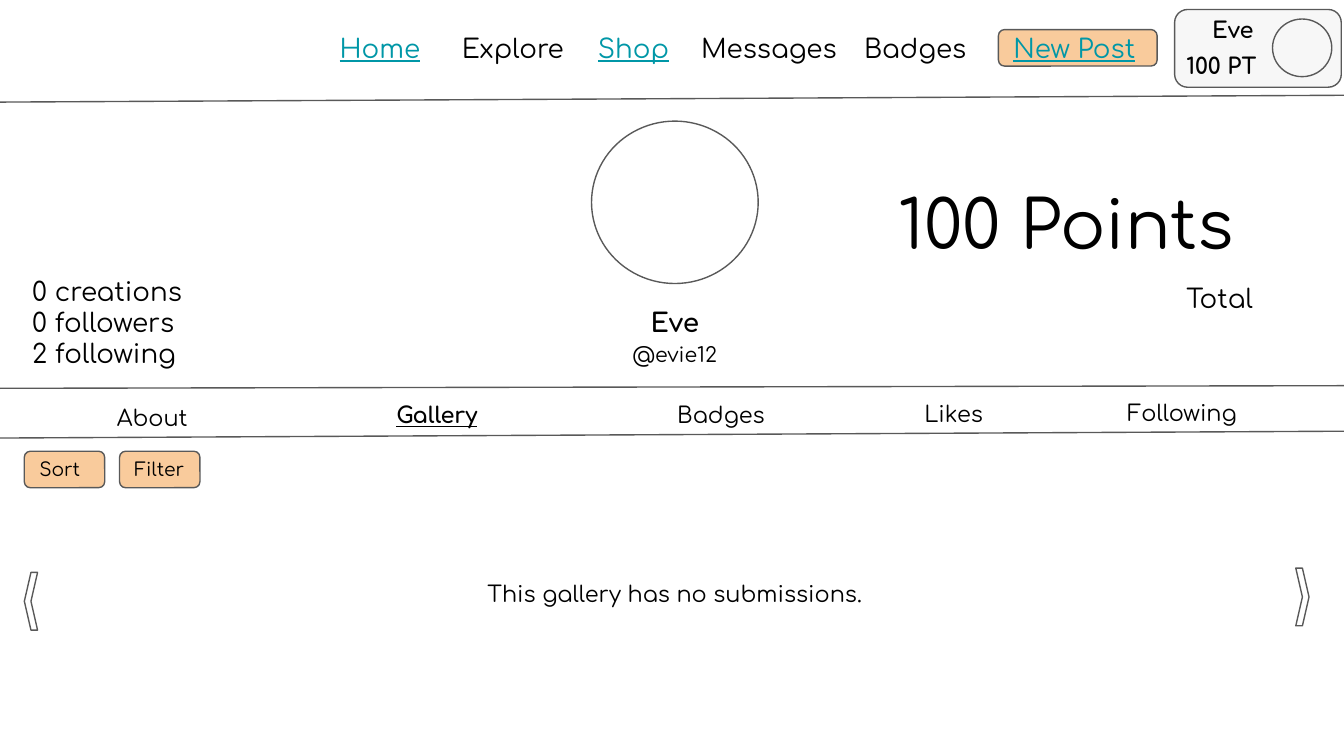
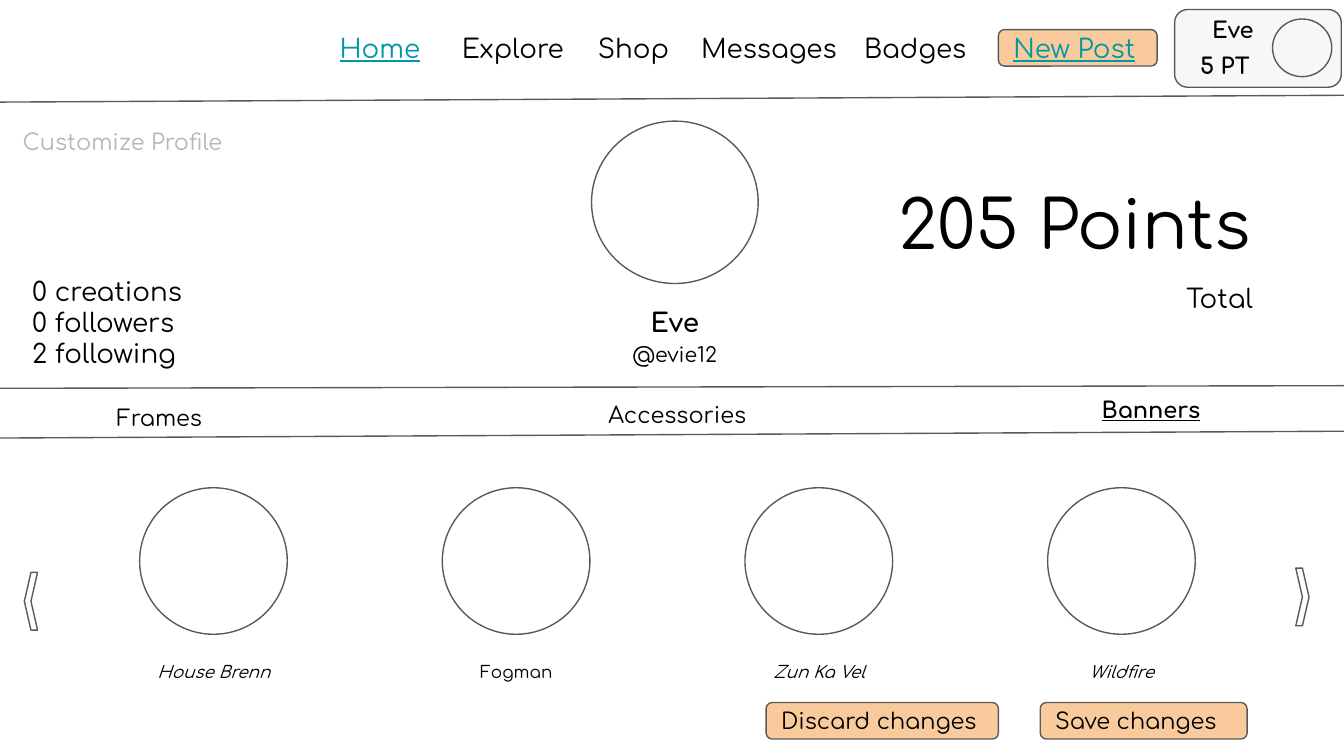
"""Builds two wireframe slides of a profile page: an empty gallery and a banner picker."""
from dataclasses import dataclass

from lxml import etree
from pptx import Presentation
from pptx.dml.color import RGBColor
from pptx.enum import shapes, text
from pptx.oxml.ns import qn
from pptx.util import Cm, Pt


@dataclass(frozen=True)
class Theme:
    font: str = "Comfortaa"
    ink: str = "000000"
    link: str = "0097A7"
    muted: str = "B7B7B7"
    outline: str = "595959"
    button: str = "F9CB9C"
    panel: str = "D5D5D5"
    hero: int = 36
    nav: int = 14
    body: int = 12
    handle: int = 11
    small: int = 10
    caption: int = 9


theme = Theme()
MSO = shapes.MSO_SHAPE
CENTER = text.PP_ALIGN.CENTER


def draw(s, kind, box, fill=None):
    sp = s.shapes.add_shape(kind, *map(Cm, box))
    sp.shadow.inherit = False
    sp.line.color.rgb = RGBColor.from_string(theme.outline)
    sp.line.width = Pt(0.75)
    if fill:
        sp.fill.solid()
        sp.fill.fore_color.rgb = RGBColor.from_string(fill)
    else:
        sp.fill.background()
    return sp


def write(s, words, box, size, color=theme.ink, align=text.PP_ALIGN.LEFT,
          spacing=None, button=False, indent=0, **style):
    if button:
        sp = draw(s, MSO.ROUNDED_RECTANGLE, box, theme.button)
    else:
        sp = s.shapes.add_textbox(*map(Cm, box))
    tf = sp.text_frame
    tf.word_wrap = True
    tf.vertical_anchor = text.MSO_ANCHOR.MIDDLE if button else text.MSO_ANCHOR.TOP
    tf.margin_right = tf.margin_top = tf.margin_bottom = Cm(0.25)
    tf.margin_left = Cm(0.25 + indent)
    tf.text = words
    for p in tf.paragraphs:
        p.alignment = align
        p.line_spacing = spacing
        p.font.name = theme.font
        p.font.size = Pt(size)
        p.font.color.rgb = RGBColor.from_string(color)
        for name, value in style.items():
            setattr(p.font, name, value)
    return tf


prs = Presentation()
prs.slide_width, prs.slide_height = Cm(25.4), Cm(14.29)

rules = [(1.93, 25.53, 1.8), (7.34, 25.4, 7.29), (8.28, 25.53, 8.15)]
nav = [("Home", 6.17, 2.24), ("Explore", 8.48, 2.49), ("Shop", 11.05, 1.91),
       ("Messages", 13, 3.15), ("Badges", 16.08, 2.49)]
pages = [
    dict(links=("Home", "Shop"), balance="100 PT", indent=0, total="100 Points",
         active="Gallery",
         tabs=[("About", 1.96, 7.39, 3), ("Gallery", 7.24, 7.34, 3),
               ("Badges", 12.55, 7.34, 3), ("Likes", 17.22, 7.32, 3),
               ("Following", 21.06, 7.29, 3)]),
    dict(links=("Home",), balance="5 PT", indent=0.26, total="205 Points",
         active="Banners",
         tabs=[("Frames", 1.96, 7.39, 3), ("Accessories", 11.25, 7.34, 3.4),
               ("Banners", 20.57, 7.24, 3)]),
]

for page in pages:
    s = prs.slides.add_slide(prs.slide_layouts[6])

    panel = draw(s, MSO.ROUNDED_RECTANGLE, (22.2, 0.18, 3.15, 1.47), theme.panel)
    tint = panel.fill._xPr.find(qn("a:solidFill"))[0]
    etree.SubElement(tint, qn("a:alpha"), val="19000")
    draw(s, MSO.OVAL, (24.05, 0.36, 1.12, 1.09))
    draw(s, MSO.OVAL, (11.18, 2.29, 3.15, 3.07))

    for y1, x2, y2 in rules:
        line = s.shapes.add_connector(shapes.MSO_CONNECTOR.STRAIGHT,
                                      Cm(-0.05), Cm(y1), Cm(x2), Cm(y2))
        line.line.color.rgb = RGBColor.from_string(theme.outline)
        line.line.width = Pt(0.75)
        etree.SubElement(line._element.spPr, qn("a:effectLst"))

    for word, x, w in nav:
        linked = word in page["links"]
        write(s, word, (x, 0.36, w, 0.69), theme.nav,
              theme.link if linked else theme.ink, underline=linked)
    write(s, "New Post", (18.87, 0.56, 3, 0.69), theme.nav, theme.link,
          button=True, underline=True)
    write(s, "Eve", (22.66, 0.05, 1.3, 0.69), theme.body, bold=True)
    write(s, page["balance"], (22.17, 0.74, 2.24, 0.51), theme.body,
          indent=page["indent"], bold=True)

    tf = write(s, "Eve\n@evie12", (11.51, 5.46, 2.49, 1.75), theme.nav,
               align=CENTER, spacing=1.15)
    tf.paragraphs[0].font.bold = True
    tf.paragraphs[1].font.size = Pt(theme.handle)
    write(s, page["total"], (16.74, 3.2, 8.05, 2.16), theme.hero)
    write(s, "Total", (22.17, 5.08, 1.91, 0.69), theme.nav)
    write(s, "0 creations\n0 followers\n2 following", (0.36, 4.95, 4.6, 1.98), theme.nav)

    for word, x, y, w in page["tabs"]:
        active = word == page["active"]
        write(s, word, (x, y, w, 0.69), theme.body, bold=active, underline=active)

    draw(s, MSO.CHEVRON, (0.46, 10.82, 0.25, 1.09)).rotation = 180
    draw(s, MSO.CHEVRON, (24.49, 10.74, 0.25, 1.09))

gallery, banners = prs.slides

for word, x in [("Sort", 0.46), ("Filter", 2.26)]:
    write(gallery, word, (x, 8.53, 1.52, 0.69), theme.small, button=True)
write(gallery, "This gallery has no submissions.", (7.32, 10.72, 10.87, 0.69),
      theme.body, align=CENTER)

write(banners, "Customize Profile", (0.18, 2.18, 6.43, 1.09), theme.body, theme.muted)
items = [("House Brenn", True), ("Fogman", False), ("Zun Ka Vel", True), ("Wildfire", True)]
for i, (word, italic) in enumerate(items):
    x = 2.64 + 5.72 * i
    draw(banners, MSO.OVAL, (x, 9.22, 2.79, 2.77))
    write(banners, word, (x - 0.9, 12.06, 4.6, 1.88), theme.caption,
          align=CENTER, spacing=1.5, italic=italic)
for word, x, w in [("Discard changes", 14.48, 4.39), ("Save changes", 19.66, 3.91)]:
    write(banners, word, (x, 13.28, w, 0.69), theme.body, button=True)

prs.save("out.pptx")
